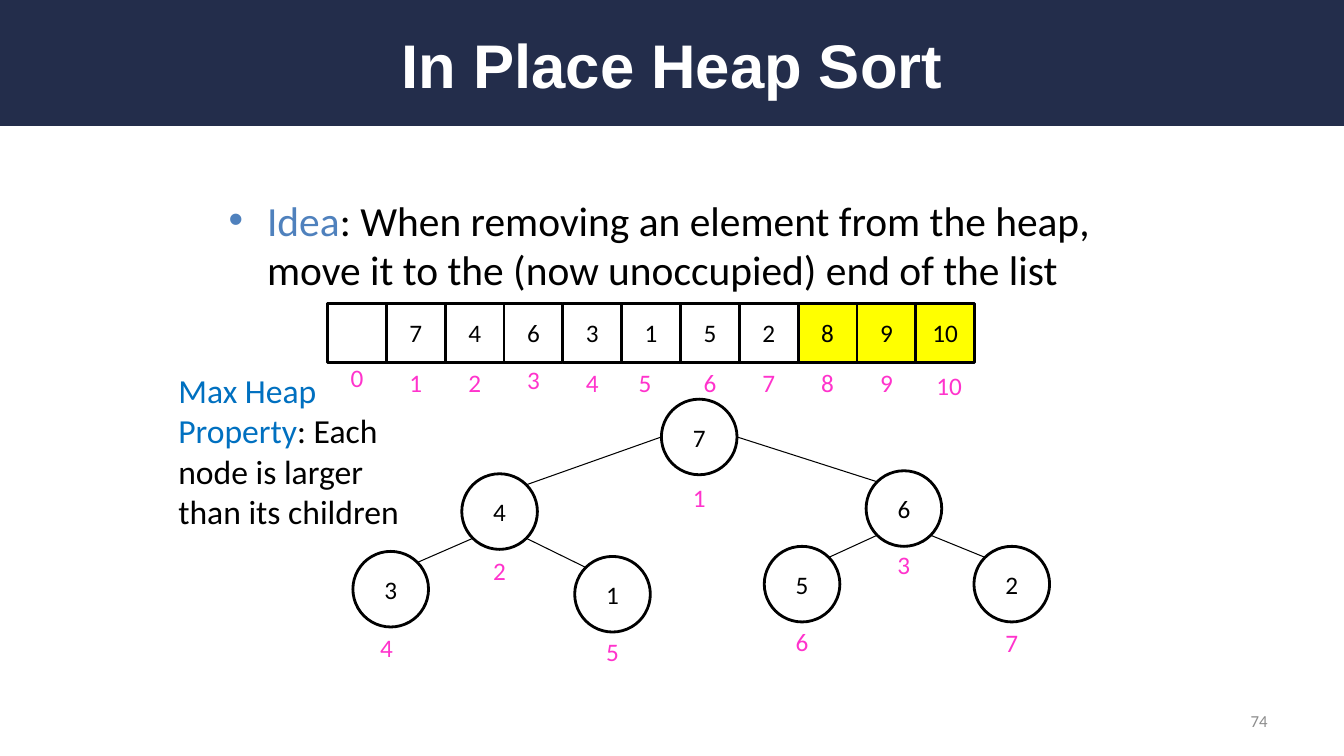
from math import sqrt

from lxml import etree
from pptx import Presentation
from pptx.dml.color import RGBColor
from pptx.enum.shapes import MSO_CONNECTOR, MSO_SHAPE
from pptx.enum.text import MSO_ANCHOR, PP_ALIGN
from pptx.oxml.ns import qn
from pptx.util import Inches, Pt

LEFT, CENTER, RIGHT = PP_ALIGN.LEFT, PP_ALIGN.CENTER, PP_ALIGN.RIGHT
TOP, MIDDLE = MSO_ANCHOR.TOP, MSO_ANCHOR.MIDDLE
RECTANGLE, OVAL = MSO_SHAPE.RECTANGLE, MSO_SHAPE.OVAL
STRAIGHT = MSO_CONNECTOR.STRAIGHT

NAVY = RGBColor(0x23, 0x2D, 0x4B)
WHITE = RGBColor(0xFF, 0xFF, 0xFF)
BLACK = RGBColor(0x00, 0x00, 0x00)
GRAY = RGBColor(0x8C, 0x8C, 0x8C)
YELLOW = RGBColor(0xFF, 0xFF, 0x00)
PINK = RGBColor(0xFF, 0x33, 0xCC)
IDEA_BLUE = RGBColor(0x4F, 0x81, 0xBD)
PROPERTY_BLUE = RGBColor(0x00, 0x70, 0xC0)

CELLS = ["", "7", "4", "6", "3", "1", "5", "2", "8", "9", "10"]
FIRST_SORTED = 8
INDEX_NUDGES = {0: (0, -0.05), 3: (0, -0.03), 5: (-0.06, 0), 10: (0.04, 0.03)}

NODE_SIZE = 0.75
NODE_PLACES = {
    1: (3.06, 0),
    2: (1.08, 0.74),
    3: (5.09, 0.71),
    4: (0, 1.51),
    5: (2.2, 1.56),
    6: (4.08, 1.46),
    7: (6.16, 1.46),
}
LABEL_NUDGES = {1: (0, 0.03), 2: (0, 0.01), 3: (0, -0.02), 4: (-0.04, 0),
                5: (0, -0.01), 6: (0, -0.01)}


def write_text(shape, runs, size=18, font="Calibri", bold=False, align=CENTER,
               anchor=MIDDLE, wrap=True):
    """Write (text, colour) runs into the shape and return the paragraph."""
    frame = shape.text_frame
    frame.word_wrap = wrap
    frame.vertical_anchor = anchor
    paragraph = frame.paragraphs[0]
    paragraph.alignment = align
    for text, color in runs:
        run = paragraph.add_run()
        run.text = text
        run.font.name = font
        run.font.size = Pt(size)
        run.font.bold = bold
        run.font.color.rgb = color
    return paragraph


def add_text(slide, box, runs, **text_format):
    """Add a text box at the given box in inches and return its paragraph."""
    shape = slide.shapes.add_textbox(*map(Inches, box))
    return write_text(shape, runs, **text_format)


def add_outlined(slide, kind, box, text="", fill=WHITE, line=BLACK):
    """Add a filled shape with a two-point outline and centred text."""
    shape = slide.shapes.add_shape(kind, *map(Inches, box))
    shape.shadow.inherit = False
    shape.fill.solid()
    shape.fill.fore_color.rgb = fill
    if line is None:
        shape.line.fill.background()
    else:
        shape.line.color.rgb = line
        shape.line.width = Pt(2)
    if text:
        write_text(shape, [(text, BLACK)], wrap=False)


def add_index(slide, center, top, index, nudge):
    """Add a pink index, in a box as wide as its digits need, below a cell or node."""
    text = str(index)
    width = 0.2 + 0.14 * len(text)
    box = (center + nudge[0] - width / 2, top + nudge[1], width, 0.4)
    add_text(slide, box, [(text, PINK)], anchor=TOP, wrap=False)


def add_edge(slide, start, end):
    """Add a thin black line between two points in inches."""
    edge = slide.shapes.add_connector(STRAIGHT, *map(Inches, start + end))
    edge.line.color.rgb = BLACK
    edge.line.width = Pt(0.75)
    etree.SubElement(edge._element.spPr, qn("a:effectLst"))


def draw_title(slide, left, top, width, height):
    """Draw the title band with its heading."""
    add_outlined(slide, RECTANGLE, (left, top, width, height), fill=NAVY, line=None)
    add_text(slide, (left + 0.67, top + 0.17, width - 1.33, height - 0.33),
             [("In Place Heap Sort", WHITE)], size=44, font="Arial", bold=True)


def draw_idea(slide, left, top, width, height):
    """Draw the bulleted idea."""
    paragraph = add_text(
        slide, (left, top, width, height),
        [("Idea", IDEA_BLUE),
         (": When removing an element from the heap, "
          "move it to the (now unoccupied) end of the list", BLACK)],
        size=29.6, align=LEFT)
    paragraph.space_before = Pt(6)
    properties = paragraph._p.get_or_add_pPr()
    properties.set("marL", str(Inches(0.38)))
    properties.set("indent", str(Inches(-0.38)))
    etree.SubElement(properties, qn("a:buFont")).set("typeface", "Arial")
    etree.SubElement(properties, qn("a:buChar")).set("char", "•")


def draw_list(slide, left, top, cell):
    """Draw the list cells with the sorted end in yellow, and their indices."""
    for index, value in enumerate(CELLS):
        x = left + index * cell
        fill = YELLOW if index >= FIRST_SORTED else WHITE
        add_outlined(slide, RECTANGLE, (x, top, cell, cell), value, fill)
        add_index(slide, x + cell / 2, top + cell, index, INDEX_NUDGES.get(index, (0, 0)))


def draw_heap(slide, left, top):
    """Draw the heap tree: each node's parent is at half its index."""
    radius = NODE_SIZE / 2
    diagonal = radius / sqrt(2)
    centers = {index: (left + x + radius, top + y + radius)
               for index, (x, y) in NODE_PLACES.items()}
    for index, (x, y) in centers.items():
        add_outlined(slide, OVAL, (x - radius, y - radius, NODE_SIZE, NODE_SIZE), CELLS[index])
        add_index(slide, x, y + radius, index, LABEL_NUDGES.get(index, (0, 0)))
        if index > 1:
            parent_x, parent_y = centers[index // 2]
            side = 1 if index % 2 else -1
            across, down = (radius, 0) if index // 2 == 1 else (diagonal, diagonal)
            add_edge(slide, (parent_x + side * across, parent_y + down),
                     (x - side * diagonal, y - diagonal))


def draw_property(slide, left, top, width, height):
    """Draw the statement of the max heap property."""
    add_text(slide, (left, top, width, height),
             [("Max Heap Property", PROPERTY_BLUE),
              (": Each node is larger than its children", BLACK)],
             size=24, align=LEFT, anchor=TOP)


def main():
    """Build the slide and save it."""
    presentation = Presentation()
    presentation.slide_width = Inches(13.33)
    presentation.slide_height = Inches(7.5)
    slide = presentation.slides.add_slide(presentation.slide_layouts[6])
    draw_title(slide, 0, 0, 13.33, 1.25)
    draw_idea(slide, 2.17, 1.76, 9.25, 1.33)
    draw_heap(slide, 3.5, 3.96)
    draw_list(slide, 3.25, 3.01, 7 / 12)
    draw_property(slide, 1.67, 3.62, 2.42, 1.72)
    add_text(slide, (9.56, 6.95, 3.11, 0.4), [("74", GRAY)], size=12, align=RIGHT)
    presentation.save("out.pptx")


if __name__ == "__main__":
    main()
